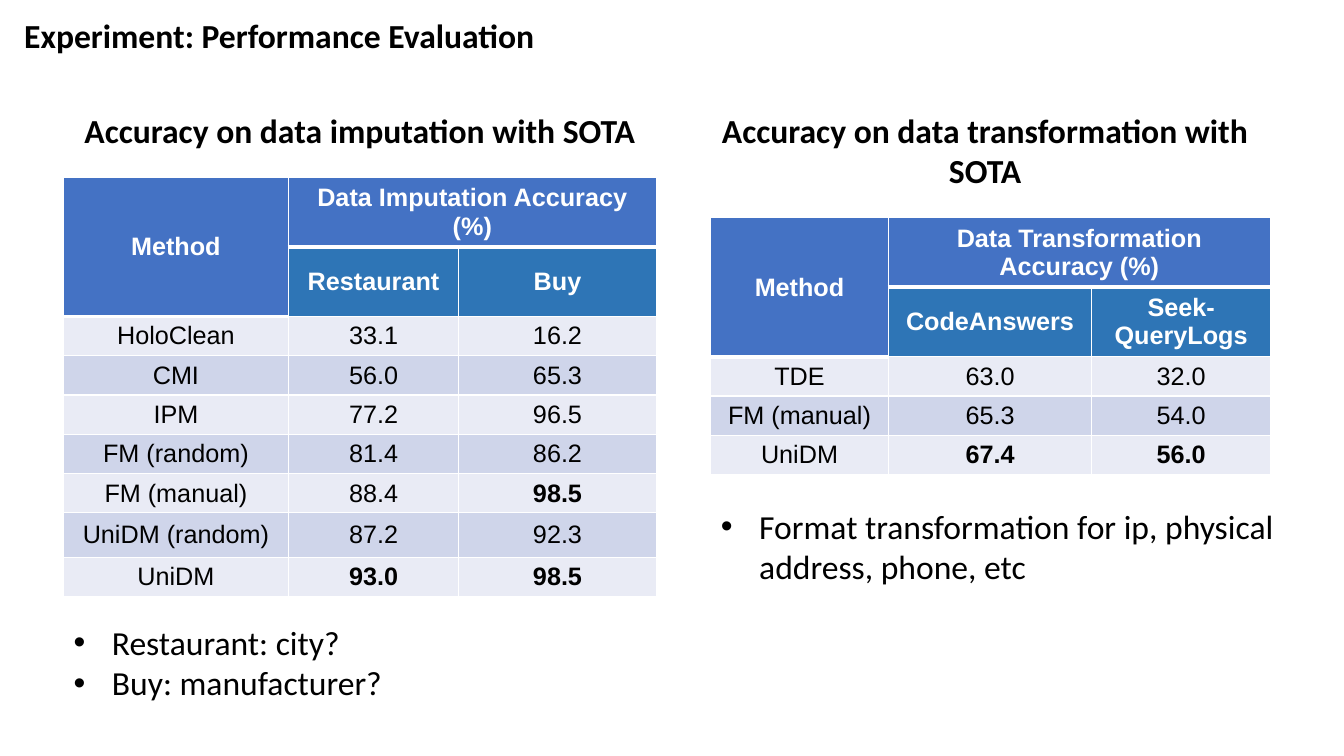
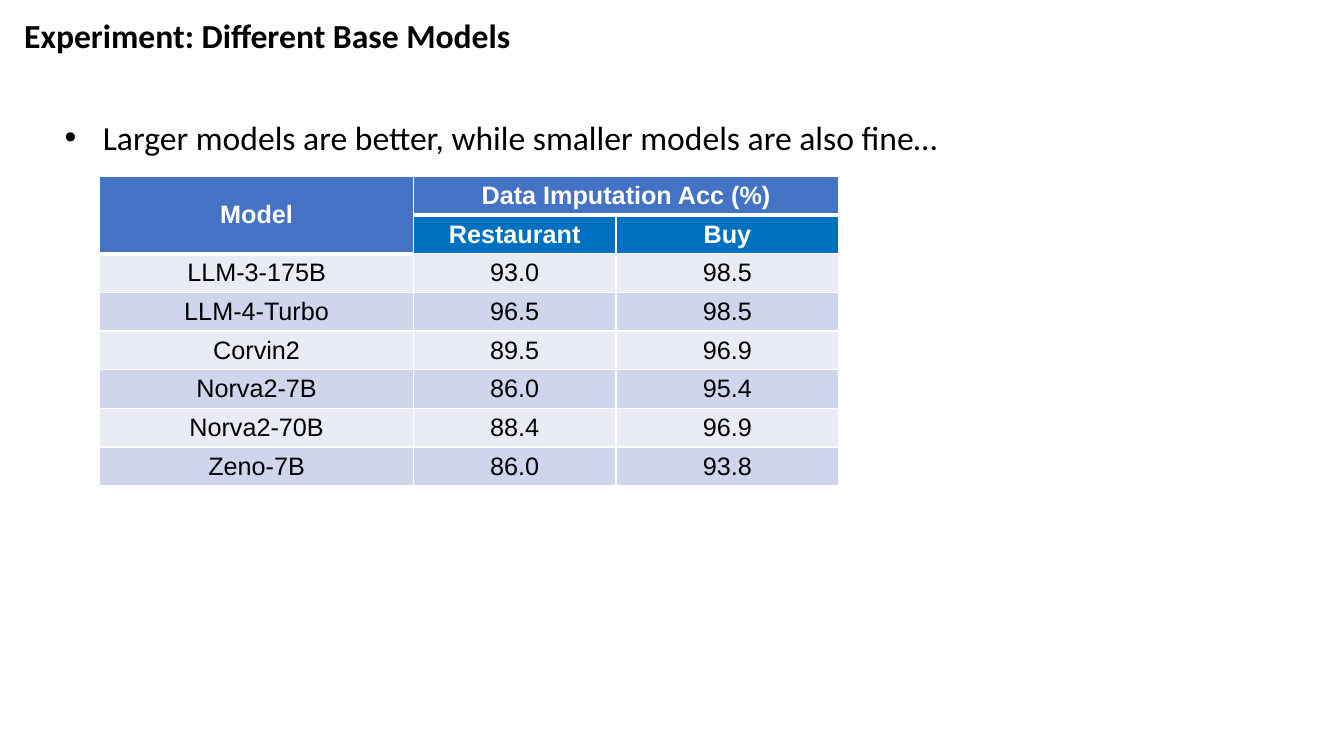
from lxml import etree
from pptx import Presentation
from pptx.dml.color import RGBColor
from pptx.enum.text import MSO_ANCHOR, MSO_AUTO_SIZE, PP_ALIGN
from pptx.oxml.ns import qn
from pptx.util import Inches, Pt

TOP, MIDDLE = MSO_ANCHOR.TOP, MSO_ANCHOR.MIDDLE
LEFT, CENTER = PP_ALIGN.LEFT, PP_ALIGN.CENTER
FIXED_SIZE = MSO_AUTO_SIZE.NONE

CONTENT_LAYOUT, COMPARISON_LAYOUT = 1, 4

BLACK, WHITE = "000000", "FFFFFF"
HEADER_BLUE, DATASET_BLUE, BRIGHT_BLUE = "4472C4", "2E75B6", "0070C0"
BANDS = ("E9EBF5", "CFD5EA")
HEADER_ROWS = 2


def rgb(hex_color):
    return RGBColor.from_string(hex_color)


def has_thick_bottom(row, column):
    """Tell whether a cell ends a merged header cell."""
    return row == 0 or (row == 1 and column == 0)


class Deck:
    """Holds the shared style and the slide being filled."""

    text_font, table_font = "Calibri", "Arial"
    text_size, table_size = 24, 18
    bullet_indent = 0.38

    def __init__(self):
        self.presentation = Presentation()
        self.presentation.slide_width = Inches(13.33)
        self.presentation.slide_height = Inches(7.5)
        self.slide = None

    def add_slide(self, layout, title):
        self.slide = self.presentation.slides.add_slide(
            self.presentation.slide_layouts[layout])
        self.fill_placeholder(0, (0.14, 0.1, 12, 0.5), [title], bold=True)

    def style(self, paragraph, font_name, size, color, bold, align):
        paragraph.alignment = align
        font = paragraph.font
        font.name, font.size, font.bold = font_name, Pt(size), bold
        font.color.rgb = rgb(color)

    def fill_placeholder(self, index, box, lines, bold=False, align=LEFT):
        """Move the placeholder with this index and return its paragraphs."""
        holder = self.slide.placeholders[index]
        holder.left, holder.top, holder.width, holder.height = map(Inches, box)
        frame = holder.text_frame
        frame.text = "\n".join(lines)
        frame.word_wrap = True
        frame.auto_size = FIXED_SIZE
        frame.vertical_anchor = TOP
        for paragraph in frame.paragraphs:
            self.style(paragraph, self.text_font, self.text_size, BLACK, bold, align)
            paragraph.space_before = Pt(0)
        return frame.paragraphs

    def add_heading(self, index, box, text):
        self.fill_placeholder(index, box, [text], bold=True, align=CENTER)

    def add_bullets(self, index, box, lines):
        indent = Inches(self.bullet_indent)
        for paragraph in self.fill_placeholder(index, box, lines):
            properties = paragraph._p.get_or_add_pPr()
            properties.set("marL", str(indent))
            properties.set("indent", str(-indent))

    def add_borders(self, cell, row, column):
        properties = cell._tc.get_or_add_tcPr()
        top = 3 if row and has_thick_bottom(row - 1, column) else 1
        bottom = 3 if has_thick_bottom(row, column) else 1
        for side, width in (("L", 1), ("R", 1), ("T", top), ("B", bottom)):
            line = etree.SubElement(properties, qn(f"a:ln{side}"), w=str(Pt(width)))
            fill = etree.SubElement(line, qn("a:solidFill"))
            etree.SubElement(fill, qn("a:srgbClr"), val=WHITE)

    def style_cell(self, cell, row, column, dataset_fill, best, margins):
        is_header = row < HEADER_ROWS
        self.add_borders(cell, row, column)
        cell.fill.solid()
        if not is_header:
            fill = BANDS[(row - HEADER_ROWS) % 2]
        elif row == 1 and column:
            fill = dataset_fill
        else:
            fill = HEADER_BLUE
        cell.fill.fore_color.rgb = rgb(fill)
        cell.vertical_anchor = MIDDLE
        cell.margin_left = cell.margin_right = Inches(margins[0])
        cell.margin_top = cell.margin_bottom = Inches(margins[1])
        self.style(cell.text_frame.paragraphs[0], self.table_font, self.table_size,
                   WHITE if is_header else BLACK,
                   is_header or (row, column) in best, CENTER)

    def add_results(self, corner, widths, heights, headers, results,
                    dataset_fill=DATASET_BLUE, best=(), margins=(0.09, 0.05)):
        """Add a table; headers are row label, measure and two datasets,
        and best lists the (row, column) places set in bold."""
        label, measure, *datasets = headers
        rows = [(label, measure, ""), ("", *datasets), *results]
        table = self.slide.shapes.add_table(
            len(rows), len(widths), *map(Inches, corner),
            Inches(sum(widths)), Inches(sum(heights))).table
        for column, width in zip(table.columns, widths):
            column.width = Inches(width)
        for table_row, height in zip(table.rows, heights):
            table_row.height = Inches(height)
        for row, texts in enumerate(rows):
            for column, text in enumerate(texts):
                cell = table.cell(row, column)
                cell.text = text
                self.style_cell(cell, row, column, dataset_fill, best, margins)
        table.cell(0, 0).merge(table.cell(1, 0))
        table.cell(0, 1).merge(table.cell(0, 2))


def add_performance_slide(deck):
    deck.add_slide(COMPARISON_LAYOUT, "Experiment: Performance Evaluation")
    deck.add_heading(1, (0.63, 1.04, 5.88, 0.5),
                     "Accuracy on data imputation with SOTA")
    deck.add_heading(3, (6.83, 1.04, 5.88, 0.91),
                     "Accuracy on data transformation with SOTA")
    deck.add_results(
        (0.63, 1.76), (2.23, 1.69, 1.96),
        [0.69] * 2 + [0.39] * 5 + [0.44, 0.39],
        ("Method", "Data Imputation Accuracy (%)", "Restaurant", "Buy"),
        [("HoloClean", "33.1", "16.2"),
         ("CMI", "56.0", "65.3"),
         ("IPM", "77.2", "96.5"),
         ("FM (random)", "81.4", "86.2"),
         ("FM (manual)", "88.4", "98.5"),
         ("UniDM (random)", "87.2", "92.3"),
         ("UniDM", "93.0", "98.5")],
        best=((6, 2), (8, 1), (8, 2)))
    deck.add_results(
        (7.05, 2.16), (1.76, 2.02, 1.77), [0.69] * 2 + [0.39] * 3,
        ("Method", "Data Transformation Accuracy (%)",
         "CodeAnswers", "Seek-QueryLogs"),
        [("TDE", "63.0", "32.0"),
         ("FM (manual)", "65.3", "54.0"),
         ("UniDM", "67.4", "56.0")],
        best=((4, 1), (4, 2)))
    deck.add_bullets(2, (0.63, 6.12, 5.88, 0.91),
                     ["Restaurant: city?", "Buy: manufacturer?"])
    deck.add_bullets(4, (7.05, 4.97, 5.88, 0.91),
                     ["Format transformation for ip, physical address, phone, etc"])


def add_base_models_slide(deck):
    deck.add_slide(CONTENT_LAYOUT, "Experiment: Different Base Models")
    deck.add_results(
        (0.99, 1.75), (3.11, 2.01, 2.21), [3.07 / 8] * 8,
        ("Model", "Data Imputation Acc (%)", "Restaurant", "Buy"),
        [("LLM-3-175B", "93.0", "98.5"),
         ("LLM-4-Turbo", "96.5", "98.5"),
         ("Corvin2", "89.5", "96.9"),
         ("Norva2-7B", "86.0", "95.4"),
         ("Norva2-70B", "88.4", "96.9"),
         ("Zeno-7B", "86.0", "93.8")],
        dataset_fill=BRIGHT_BLUE, margins=(0.08, 0.04))
    deck.add_bullets(1, (0.54, 1.11, 10.62, 0.5),
                     ["Larger models are better, while smaller models are also fine…"])


def main():
    deck = Deck()
    add_performance_slide(deck)
    add_base_models_slide(deck)
    deck.presentation.save("out.pptx")


if __name__ == "__main__":
    main()
